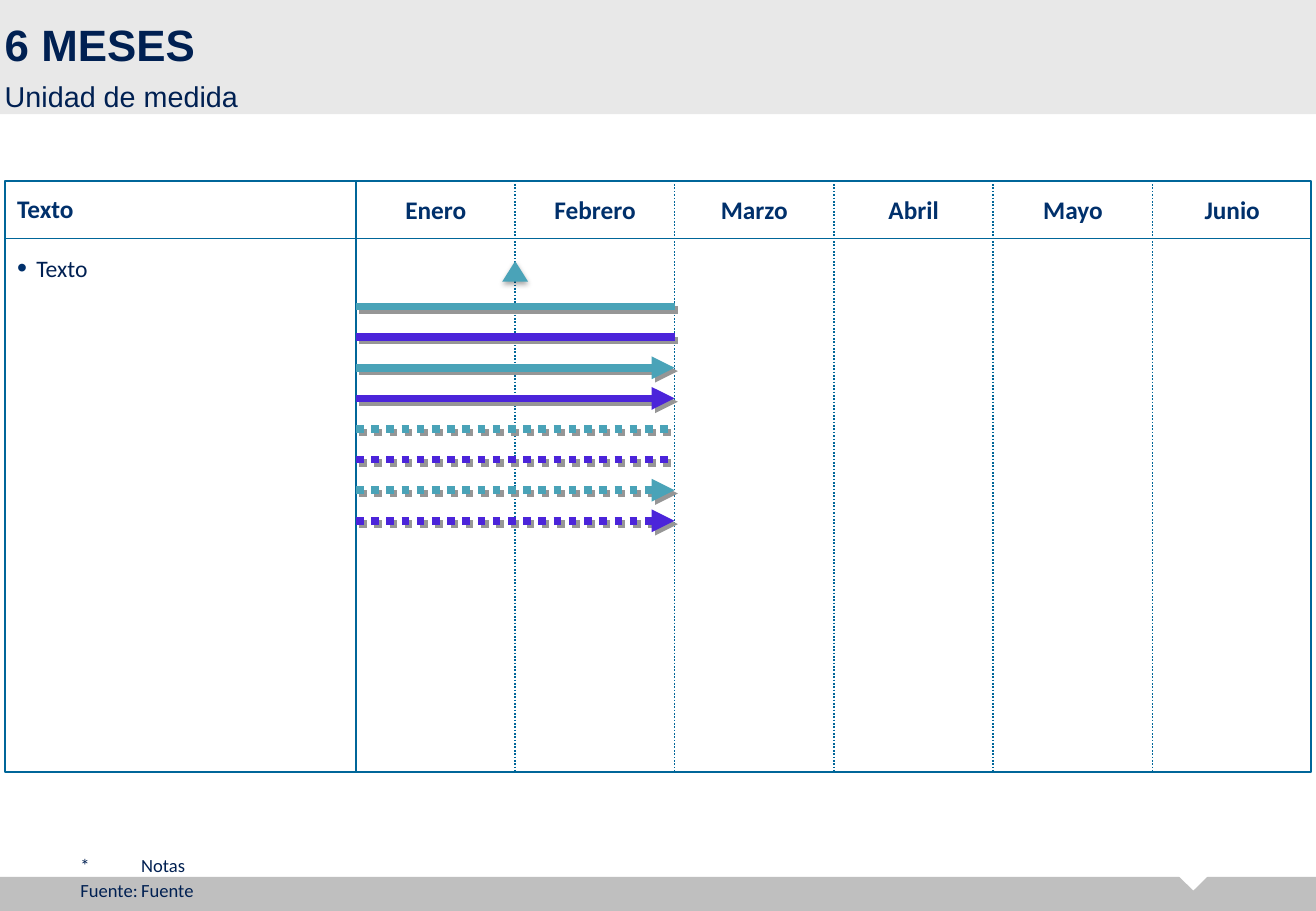
"""Six-month planning chart with a month grid, sample bars and notes."""
from lxml import etree
from pptx import Presentation, util as u
from pptx.dml.color import RGBColor
from pptx.enum import dml, shapes, text
from pptx.oxml import ns

Cm, Pt = u.Cm, u.Pt
KIND = shapes.MSO_SHAPE
MID = text.PP_ALIGN.CENTER
LOW = text.MSO_ANCHOR.BOTTOM
HUES = dict(band="E8E8E8", foot="BFBFBF", white="FFFFFF", grid="006699",
            head="00306B", ink="002052", teal="4AA3B8", blue="4B24DA",
            shade="969696", black="000000")


def node(top, tag, **vals):
    """Add a drawing element below top."""
    sub = etree.SubElement(top, ns.qn("a:" + tag))
    for key, val in vals.items():
        sub.set(key, str(val))
    return sub


def put(item, vals):
    """Set each value on the item."""
    for key, val in vals.items():
        setattr(item, key, val)


class Board:
    """Holds the style and the current slide."""

    def __init__(self, deck, hues):
        """Add a blank slide to the deck."""
        self.hues = hues
        self.slide = deck.slides.add_slide(deck.slide_layouts[6])

    def hue(self, name):
        """Return a colour by name."""
        return RGBColor.from_string(self.hues[name])

    def shade(self, item, name, part, blur, dist, turn):
        """Give the item an outer shadow."""
        spot = item._element.spPr
        for old in spot.findall(ns.qn("a:effectLst")):
            spot.remove(old)
        cast = node(node(spot, "effectLst"), "outerShdw", blurRad=Pt(blur),
                    dist=Pt(dist), dir=turn * 60000, algn="ctr", rotWithShape=0)
        tint = node(cast, "srgbClr", val=self.hues[name])
        node(tint, "alpha", val=part * 1000)

    def shape(self, kind, box, fill=None, edge=None, turn=0):
        """Add a preset shape."""
        item = self.slide.shapes.add_shape(kind, *map(Cm, box))
        item.shadow.inherit = False
        item.rotation = turn
        if fill:
            item.fill.solid()
            item.fill.fore_color.rgb = self.hue(fill)
        else:
            item.fill.background()
        if edge:
            item.line.color.rgb = self.hue(edge)
            item.line.width = Pt(1)
        else:
            item.line.fill.background()
        return item

    def line(self, ends, name, width, dots=False, tip=False):
        """Add a straight line."""
        item = self.slide.shapes.add_connector(
            shapes.MSO_CONNECTOR.STRAIGHT, *map(Cm, ends))
        item.line.color.rgb = self.hue(name)
        item.line.width = Pt(width)
        if dots:
            item.line.dash_style = dml.MSO_LINE.ROUND_DOT
        if tip:
            node(item.line._get_or_add_ln(), "tailEnd", type="triangle")
        node(item._element.spPr, "effectLst")
        return item

    def text(self, box, rows, size, name="ink", face="Calibri", bold=False,
             low=False, form=None):
        """Add a text box with one paragraph per row."""
        frame = self.slide.shapes.add_textbox(*map(Cm, box)).text_frame
        put(frame, dict(word_wrap=True, margin_left=0, margin_right=0,
                        margin_top=0, margin_bottom=0))
        if low:
            frame.vertical_anchor = LOW
        for spot, row in enumerate(rows):
            para = frame.add_paragraph() if spot else frame.paragraphs[0]
            put(para, form or {})
            run = para.add_run()
            run.text = row
            put(run.font, dict(size=Pt(size), name=face, bold=bold))
            run.font.color.rgb = self.hue(name)
        return frame

    def hang(self, frame, space):
        """Give each paragraph a hanging indent and return the nodes."""
        props = [para._p.get_or_add_pPr() for para in frame.paragraphs]
        for prop in props:
            prop.set("marL", str(Cm(space)))
            prop.set("indent", str(-Cm(space)))
        return props


deck = Presentation()
wide, high = 27.51, 19.05
put(deck, dict(slide_width=Cm(wide), slide_height=Cm(high)))
board = Board(deck, HUES)

board.shape(KIND.RECTANGLE, (0, 18.34, wide, 0.71), "foot")
board.shape(KIND.ISOSCELES_TRIANGLE, (24.64, 18.32, 0.61, 0.3), "white", turn=180)
board.shape(KIND.RECTANGLE, (0, 0, wide, 2.39), "band")

left, top, span, tall = 0.1, 3.78, 27.31, 12.37
start, step = 7.44, 3.33
board.shape(KIND.RECTANGLE, (left, top, span, tall), edge="grid")
board.line((left, 4.98, left + span, 4.98), "grid", 0.75)
board.text((0.36, 4.04, 6.88, 0.64), ["Texto"], 15, "head", bold=True, low=True)
months = ["Enero", "Febrero", "Marzo", "Abril", "Mayo", "Junio"]
for col, month in enumerate(months):
    x = start + col * step
    board.line((x, top, x, top + tall), "grid", 1, dots=col > 0)
    board.text((x + 0.22, 4.06, 2.9, 0.64), [month], 15, "head", bold=True,
               form=dict(alignment=MID))

mark = board.shape(KIND.ISOSCELES_TRIANGLE,
                   (start + step - 0.27, 5.46, 0.54, 0.43), "teal")
board.shade(mark, "black", 35, 3.1, 1.8, 90)
for row in range(8):
    y = 6.41 + row * 0.64
    bar = board.line((start, y, start + 2 * step, y), ("teal", "blue")[row % 2],
                     4.5, dots=row >= 4, tip=row % 4 >= 2)
    board.shade(bar, "shade", 100, 0, 2.8, 45)

point = board.text((0.36, 5.31, 6.9, 0.61), ["Texto"], 14, form=dict(level=1))
for prop in board.hang(point, 0.4):
    node(node(prop, "buClr"), "srgbClr", val=HUES["head"])
    node(prop, "buSzPct", val=120000)
    node(prop, "buFont", typeface="Arial")
    node(prop, "buChar", char="•")

board.text((left, 0.38, span, 1.12), ["6 MESES"], 26, face="Arial", bold=True)
board.text((left, 1.65, span, 0.74), ["Unidad de medida"], 17, face="Arial")
notes = board.text((0, 17.88, wide, 0.97), ["\t*\tNotas", "\tFuente:\tFuente"], 11,
                   low=True, form=dict(line_spacing=0.95, space_after=Pt(2)))
for prop in board.hang(notes, 1.68):
    node(node(prop, "tabLst"), "tab", pos=Cm(1.45), algn="r")

deck.save("out.pptx")
